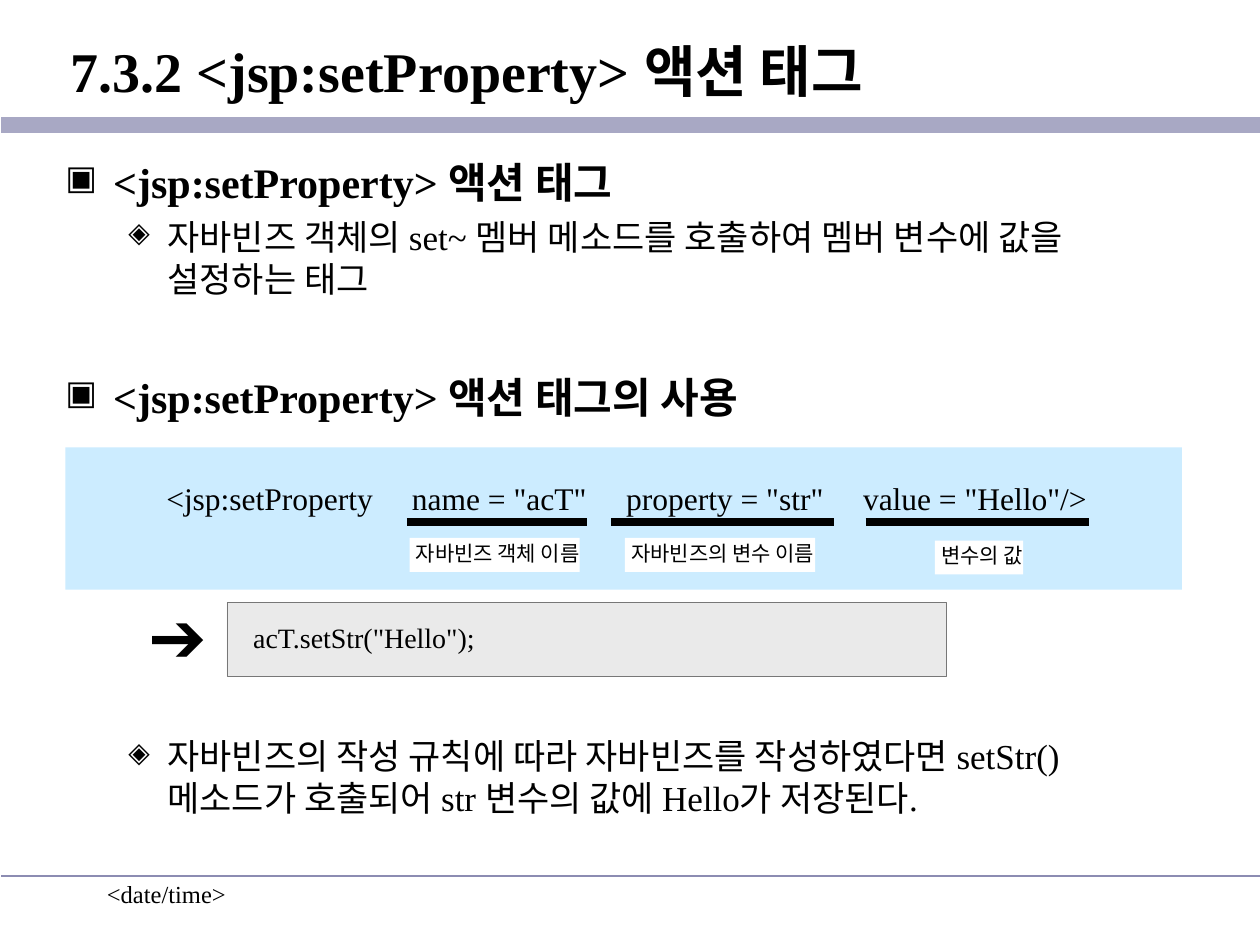
import pptx
import pptx.util
import pptx.dml.color
import pptx.enum.shapes
import pptx.enum.text
import pptx.oxml.ns
import lxml.etree

Inches = pptx.util.Inches
Pt = pptx.util.Pt
Anchor = pptx.enum.text.MSO_ANCHOR
COLORS = {
    "ink": "000000", "band": "A8A8C4", "rule": "8C8CB2", "sky": "CCECFF",
    "white": "FFFFFF", "gray": "EAEAEA", "edge": "777777",
}


class Deck:
    """Style and current slide, with one method per kind of element."""

    font = "Times New Roman"

    def __init__(self):
        self.show = pptx.Presentation()
        self.show.slide_width = Inches(10)
        self.show.slide_height = Inches(7.5)
        self.slide = self.show.slides.add_slide(self.show.slide_layouts[6])

    def color(self, name):
        return pptx.dml.color.RGBColor.from_string(COLORS[name])

    def node(self, parent, tag, **attrs):
        name = pptx.oxml.ns.qn("a:" + tag)
        return lxml.etree.SubElement(parent, name, **attrs)

    def style(self, para, size, bold=False, font=None):
        for run in para.runs:
            run.font.size = Pt(size)
            run.font.bold = bold
            run.font.name = font or self.font
            run.font.color.rgb = self.color("ink")

    def fit(self, shape, pads, anchor, wrap):
        frame = shape.text_frame
        frame.word_wrap = wrap
        frame.vertical_anchor = anchor
        (frame.margin_left, frame.margin_top,
         frame.margin_right, frame.margin_bottom) = map(Inches, pads)
        return frame

    def fill(self, shape, text, size, pads, anchor=Anchor.TOP, wrap=True,
             bold=False, font=None, gap=None, tabs=()):
        frame = self.fit(shape, pads, anchor, wrap)
        frame.text = text
        para = frame.paragraphs[0]
        para.alignment = pptx.enum.text.PP_ALIGN.LEFT
        if gap:
            para.line_spacing = gap
        if tabs:
            stops = self.node(para._p.get_or_add_pPr(), "tabLst")
            for stop in tabs:
                self.node(stops, "tab", pos=str(Inches(stop)), algn="l")
        self.style(para, size, bold, font)

    def text(self, spot, text, size, pads, **opts):
        shape = self.slide.shapes.add_textbox(*map(Inches, spot))
        self.fill(shape, text, size, pads, **opts)

    def box(self, spot, text, size, pads, fill, edge=None, **opts):
        shape = self.slide.shapes.add_shape(
            pptx.enum.shapes.MSO_SHAPE.RECTANGLE, *map(Inches, spot))
        shape.shadow.inherit = False
        shape.fill.solid()
        shape.fill.fore_color.rgb = self.color(fill)
        if edge:
            shape.line.color.rgb = self.color(edge)
            shape.line.width = Pt(0.25)
        else:
            shape.line.fill.background()
        self.fill(shape, text, size, pads, gap=0.85, **opts)

    def line(self, left, right, top, color, width):
        line = self.slide.shapes.add_connector(
            pptx.enum.shapes.MSO_CONNECTOR.STRAIGHT,
            *map(Inches, (left, top, right, top)))
        line.line.color.rgb = self.color(color)
        line.line.width = Pt(width)
        self.node(line._element.spPr, "effectLst")

    def list(self, spot, items):
        shape = self.slide.shapes.add_textbox(*map(Inches, spot))
        frame = self.fit(shape, (0.1, 0.05, 0.1, 0.05), Anchor.TOP, True)
        frame.text = "\n".join(text for level, text, space in items)
        looks = (("▣", 0.38, 0.38, 24), ("◈", 0.81, 0.31, 20))
        for para, (level, text, space) in zip(frame.paragraphs, items):
            mark, left, hang, size = looks[level]
            para.level = level
            para.space_before = Pt(space)
            props = para._p.get_or_add_pPr()
            props.set("marL", str(Inches(left)))
            props.set("indent", str(-Inches(hang)))
            tint = self.node(props, "buClr")
            self.node(tint, "srgbClr", val=COLORS["ink"])
            self.node(props, "buSzPct", val="80000")
            self.node(props, "buChar", char=mark)
            self.style(para, size, bold=level == 0)


def main():
    deck = Deck()
    tight = (0.05, 0.05, 0, 0.05)
    deck.text((0.75, 6.93, 2.08, 0.5), "<date/time>", 14,
              (0.1, 0.05, 0.1, 0.05))
    deck.line(0.01, 10, 0.99, "band", 9.25)
    deck.line(0.01, 10, 6.95, "rule", 1)
    deck.text((0.01, 0.11, 9.99, 0.9), "7.3.2 <jsp:setProperty> 액션 태그", 32,
              (0.55, 0.05, 0.1, 0.05), anchor=Anchor.MIDDLE, bold=True)
    deck.list((0.42, 1.19, 9.16, 5.71), (
        (0, "<jsp:setProperty> 액션 태그", 0),
        (1, "자바빈즈 객체의 set~ 멤버 메소드를 호출하여 멤버 변수에 값을 설정하는 태그", 5),
        (0, "<jsp:setProperty> 액션 태그의 사용", 41),
        (1, "자바빈즈의 작성 규칙에 따라 자바빈즈를 작성하였다면 setStr() "
            "메소드가 호출되어 str 변수의 값에 Hello가 저장된다.", 179),
    ))
    deck.box((0.52, 3.55, 8.86, 1.13),
             '<jsp:setProperty\tname = "acT"\tproperty = "str"\tvalue = "Hello"/>',
             18, (0.8, 0.05, 0, 0.32), "sky", anchor=Anchor.MIDDLE,
             tabs=(1.95, 3.65, 5.53))
    parts = (
        (3.23, 4.66, 3.25, 4.27, 1.35, "자바빈즈 객체 이름"),
        (4.85, 6.62, 4.96, 4.27, 1.51, "자바빈즈의 변수 이름"),
        (6.87, 8.64, 7.42, 4.29, 0.7, "변수의 값"),
    )
    for start, end, left, top, width, label in parts:
        deck.line(start, end, 4.14, "ink", 4.5)
        deck.box((left, top, width, 0.27), label, 12, tight, "white",
                 wrap=False)
    deck.box((1.8, 4.78, 5.71, 0.59), 'acT.setStr("Hello");', 16,
             (0.21, 0.05, 0, 0.05), "gray", "edge", anchor=Anchor.MIDDLE)
    deck.text((1.13, 4.76, 0.61, 0.67), "➔", 40, tight, wrap=False,
              font="Arial", gap=0.85)
    deck.show.save("out.pptx")


if __name__ == "__main__":
    main()
